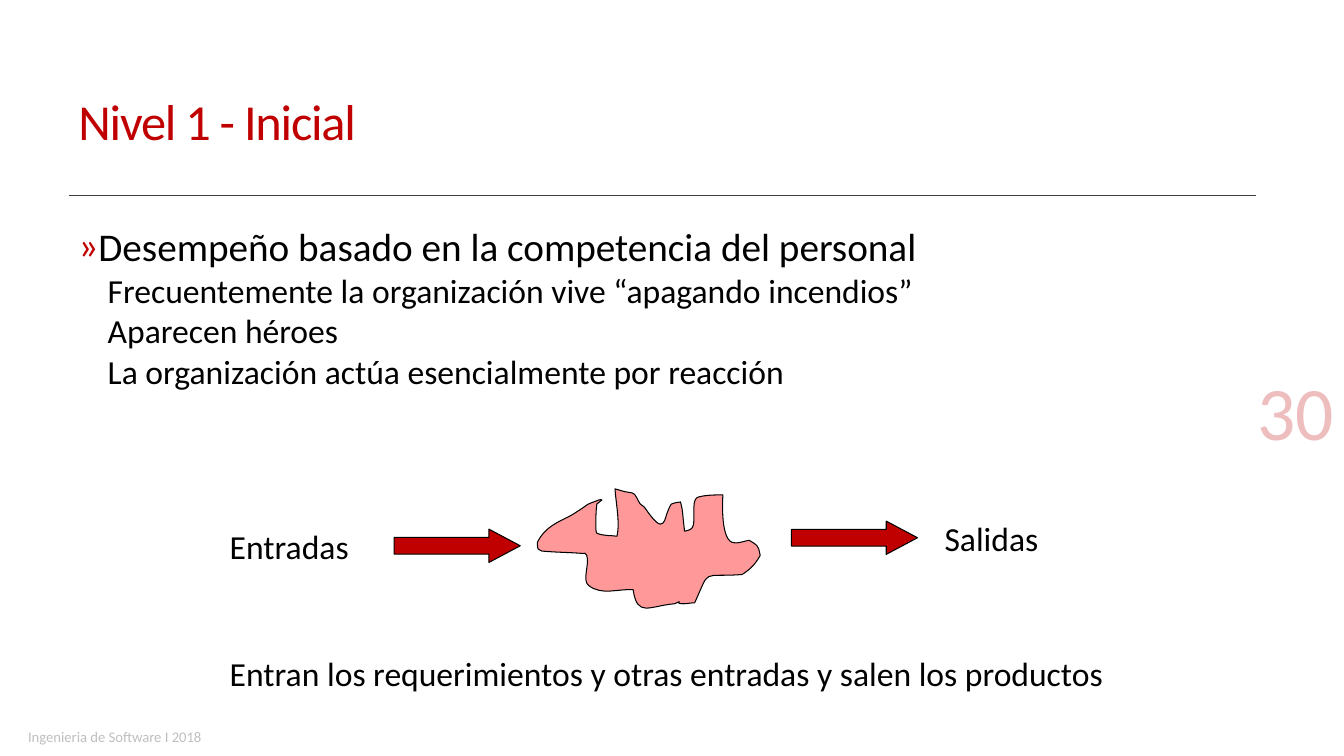
from dataclasses import dataclass

from lxml import etree
from pptx import Presentation
from pptx.dml.color import RGBColor
from pptx.enum.shapes import MSO_CONNECTOR, MSO_SHAPE
from pptx.enum.text import MSO_ANCHOR, PP_ALIGN
from pptx.oxml.ns import qn
from pptx.util import Inches, Pt

STRAIGHT = MSO_CONNECTOR.STRAIGHT
RIGHT_ARROW = MSO_SHAPE.RIGHT_ARROW
TOP, MIDDLE, BOTTOM = MSO_ANCHOR.TOP, MSO_ANCHOR.MIDDLE, MSO_ANCHOR.BOTTOM
LEFT, RIGHT = PP_ALIGN.LEFT, PP_ALIGN.RIGHT


@dataclass(frozen=True)
class Theme:
    font: str = "Calibri"
    red: RGBColor = RGBColor(0xC0, 0x00, 0x00)
    pink: RGBColor = RGBColor(0xFF, 0x99, 0x99)
    black: RGBColor = RGBColor(0x00, 0x00, 0x00)
    rule: RGBColor = RGBColor(0x40, 0x40, 0x40)
    grey: RGBColor = RGBColor(0xBF, 0xBF, 0xBF)
    title: float = 36
    lead: float = 28
    body: float = 24
    number: float = 54
    footer: float = 10.5
    outline: float = 0.75


THEME = Theme()

SUBPOINTS = [
    "Frecuentemente la organización vive “apagando incendios”",
    "Aparecen héroes",
    "La organización actúa esencialmente por reacción",
]

# Process blob: start point, then Bezier segments (two controls and an end)
BLOB_START = (5.94, 4.96)
BLOB_CURVES = [
    (5.76, 5.03, 5.91, 4.96, 5.67, 5.11), (5.54, 5.18, 5.41, 5.22, 5.33, 5.38),
    (5.33, 5.4, 5.33, 5.44, 5.34, 5.45), (5.36, 5.47, 5.39, 5.47, 5.41, 5.47),
    (5.53, 5.48, 5.65, 5.48, 5.77, 5.49), (5.79, 5.49, 5.82, 5.48, 5.82, 5.51),
    (5.85, 5.6, 5.77, 5.76, 5.84, 5.81), (5.97, 5.91, 6.13, 5.84, 6.28, 5.85),
    (6.32, 6.13, 6.44, 6.01, 6.69, 5.99), (6.81, 5.94, 6.66, 5.99, 6.78, 5.99),
    (6.82, 5.99, 6.85, 5.98, 6.89, 5.98), (7.05, 5.63, 6.95, 5.73, 7.36, 5.7),
    (7.44, 5.65, 7.49, 5.6, 7.54, 5.51), (7.52, 5.4, 7.51, 5.41, 7.43, 5.36),
    (7.37, 5.37, 7.31, 5.4, 7.26, 5.38), (7.14, 5.33, 7.17, 4.92, 7.17, 4.91),
    (7.09, 4.91, 7.01, 4.91, 6.93, 4.93), (6.86, 4.94, 6.89, 5.1, 6.88, 5.2),
    (6.87, 5.26, 6.83, 5.26, 6.79, 5.27), (6.76, 5.02, 6.78, 5.11, 6.75, 4.98),
    (6.72, 4.99, 6.69, 4.98, 6.66, 5), (6.64, 5.02, 6.61, 5.11, 6.61, 5.11),
    (6.6, 5.14, 6.59, 5.2, 6.55, 5.2), (6.5, 5.2, 6.4, 5.04, 6.39, 5.03),
    (6.38, 5.02, 6.36, 5.01, 6.35, 5), (6.32, 4.96, 6.31, 4.9, 6.27, 4.89),
    (6.15, 4.87, 6.21, 4.88, 6.1, 4.85), (6.11, 5, 6.15, 5.18, 6.12, 5.32),
    (6.06, 5.31, 5.99, 5.32, 5.92, 5.29), (5.91, 5.28, 5.91, 5.24, 5.91, 5.22),
    (5.91, 5.14, 5.91, 5.07, 5.92, 5), (5.93, 4.98, 5.96, 4.98, 5.97, 4.96),
    (5.97, 4.95, 5.95, 4.96, 5.94, 4.96),
]


def style_paragraph(para, size, color):
    for span in para.runs:
        span.font.name = THEME.font
        span.font.size = Pt(size)
        span.font.color.rgb = color


def add_text(page, area, text, size, color, anchor=TOP, align=LEFT):
    box = page.shapes.add_textbox(*map(Inches, area))
    frame = box.text_frame
    frame.word_wrap = True
    frame.vertical_anchor = anchor
    frame.text = text
    para = frame.paragraphs[0]
    para.alignment = align
    style_paragraph(para, size, color)
    return box


def add_title(page, area, text):
    box = add_text(page, area, text, THEME.title, THEME.red, MIDDLE)
    para = box.text_frame.paragraphs[0]
    para.line_spacing = 0.85
    para.runs[0].font._element.set("spc", "-90")


def add_page_number(page, area, text):
    box = add_text(page, area, text, THEME.number, THEME.red, BOTTOM, RIGHT)
    color = box.text_frame.paragraphs[0].runs[0].font._element.find(
        f"{qn('a:solidFill')}/{qn('a:srgbClr')}")
    etree.SubElement(color, qn("a:alpha"), val="25000")


def add_bullet(para, symbol, indent):
    settings = para._p.get_or_add_pPr()
    settings.set("marL", str(Inches(indent)))
    settings.set("indent", str(Inches(-indent)))
    bullet_color = etree.SubElement(settings, qn("a:buClr"))
    etree.SubElement(bullet_color, qn("a:srgbClr"), val=str(THEME.red))
    etree.SubElement(settings, qn("a:buFont"), typeface=THEME.font)
    etree.SubElement(settings, qn("a:buChar"), char=symbol)


def add_points(page, area, lead, subpoints):
    box = add_text(page, area, lead, THEME.lead, THEME.black)
    frame = box.text_frame
    first = frame.paragraphs[0]
    first.line_spacing = 0.85
    add_bullet(first, "»", 0.07)
    for text in subpoints:
        para = frame.add_paragraph()
        para.text = text
        para.level = 1
        para.line_spacing = 0.85
        para.space_before = Pt(4.4)
        add_bullet(para, " ", 0.29)
        style_paragraph(para, THEME.body, THEME.black)


def add_rule(page, left, right, top):
    rule = page.shapes.add_connector(
        STRAIGHT, Inches(left), Inches(top), Inches(right), Inches(top))
    rule.line.color.rgb = THEME.rule
    rule.line.width = Pt(THEME.outline)
    etree.SubElement(rule._element.spPr, qn("a:effectLst"))


def paint(shape, fill):
    shape.shadow.inherit = False
    shape.fill.solid()
    shape.fill.fore_color.rgb = fill
    shape.line.color.rgb = THEME.black
    shape.line.width = Pt(THEME.outline)


def add_arrow(page, left, top):
    arrow = page.shapes.add_shape(
        RIGHT_ARROW, Inches(left), Inches(top), Inches(1.25), Inches(0.33))
    arrow.adjustments[0] = 0.5
    arrow.adjustments[1] = 0.94
    paint(arrow, THEME.red)


def add_blob(page):
    points = [(Inches(curve[i]), Inches(curve[i + 1]))
              for curve in BLOB_CURVES for i in (0, 2, 4)]
    builder = page.shapes.build_freeform(*map(Inches, BLOB_START))
    builder.add_line_segments(points, close=True)
    blob = builder.convert_to_shape()
    # Join every three straight segments into one Bezier segment
    segments = list(blob._element.iter(qn("a:lnTo")))[:len(points)]
    for start in range(0, len(segments), 3):
        curve = etree.Element(qn("a:cubicBezTo"))
        segments[start].addprevious(curve)
        for segment in segments[start:start + 3]:
            curve.append(segment[0])
            segment.getparent().remove(segment)
    paint(blob, THEME.pink)


def main():
    deck = Presentation()
    deck.slide_width, deck.slide_height = Inches(13.33), Inches(7.5)
    page = deck.slides.add_slide(deck.slide_layouts[6])

    # Heading, page number and footer
    add_rule(page, 0.68, 12.46, 1.94)
    add_title(page, (0.68, 0.55, 11.82, 1.39), "Nivel 1 - Inicial")
    add_page_number(page, (10.13, 3.04, 3.2, 1.53), "30")
    add_text(page, (0.18, 7.17, 2.36, 0.23), "Ingenieria de Software I 2018",
             THEME.footer, THEME.grey)

    # Main points
    add_points(page, (0.68, 2.23, 12, 4.99),
               "Desempeño basado en la competencia del personal", SUBPOINTS)

    # Process diagram
    add_blob(page)
    for left, top in ((3.91, 5.25), (7.85, 5.17)):
        add_arrow(page, left, top)
    for area, text in (
        ((2.18, 5.17, 1.6, 0.5), "Entradas"),
        ((9.27, 5.09, 1.83, 0.5), "Salidas"),
        ((2.18, 6.43, 9.25, 0.5),
         "Entran los requerimientos y otras entradas y salen los productos"),
    ):
        add_text(page, area, text, THEME.body, THEME.black)

    deck.save("out.pptx")


if __name__ == "__main__":
    main()
